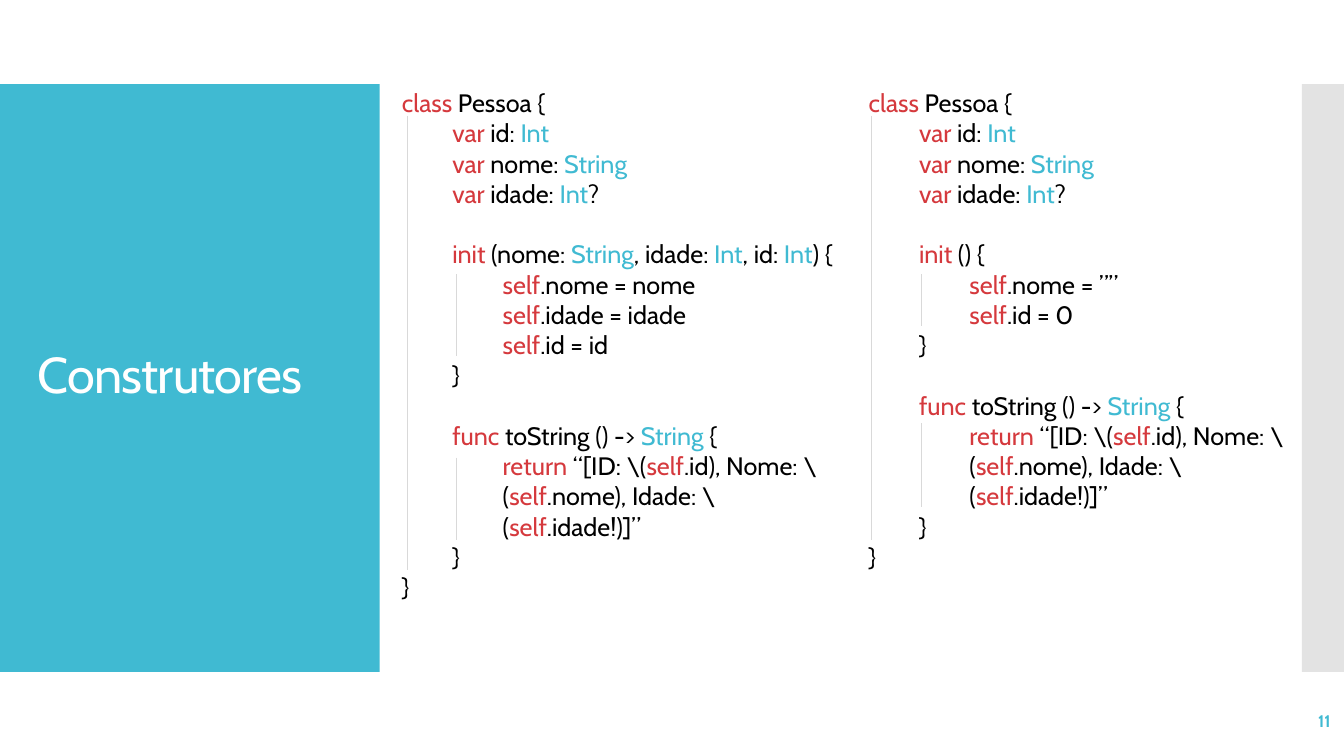
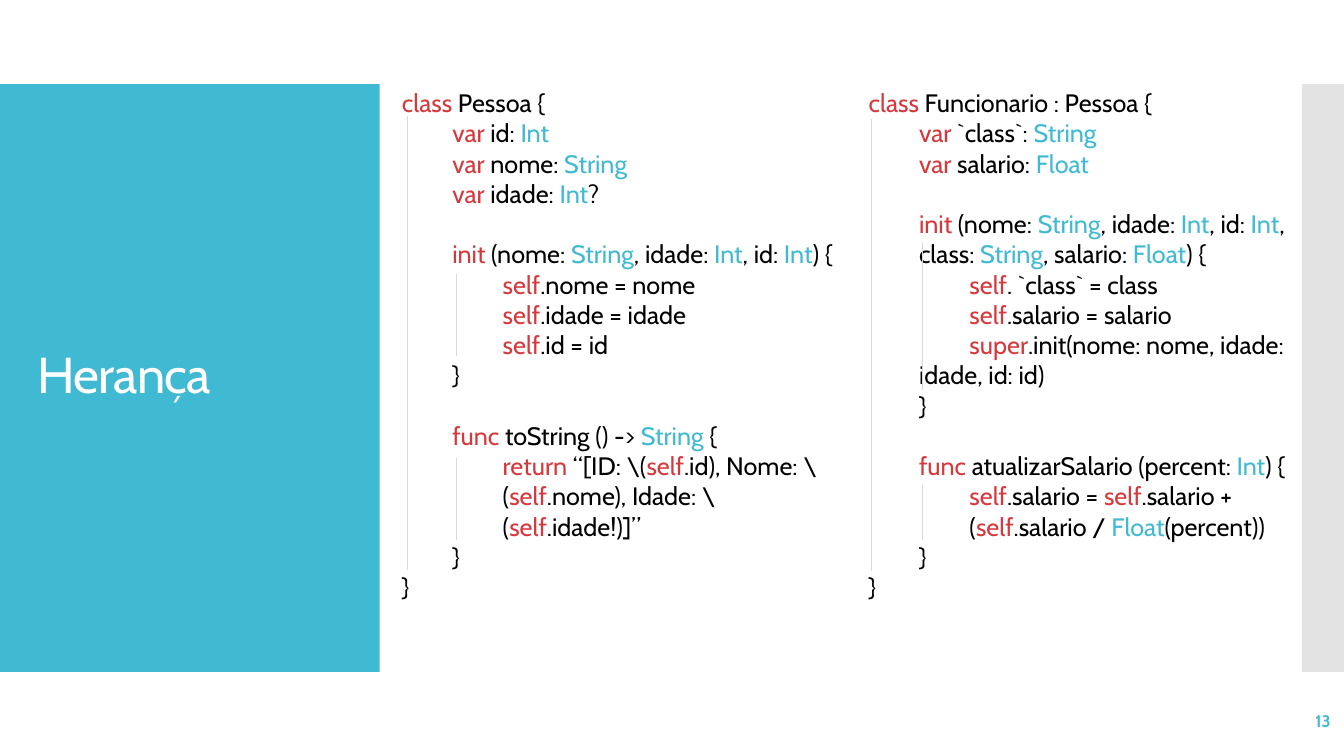
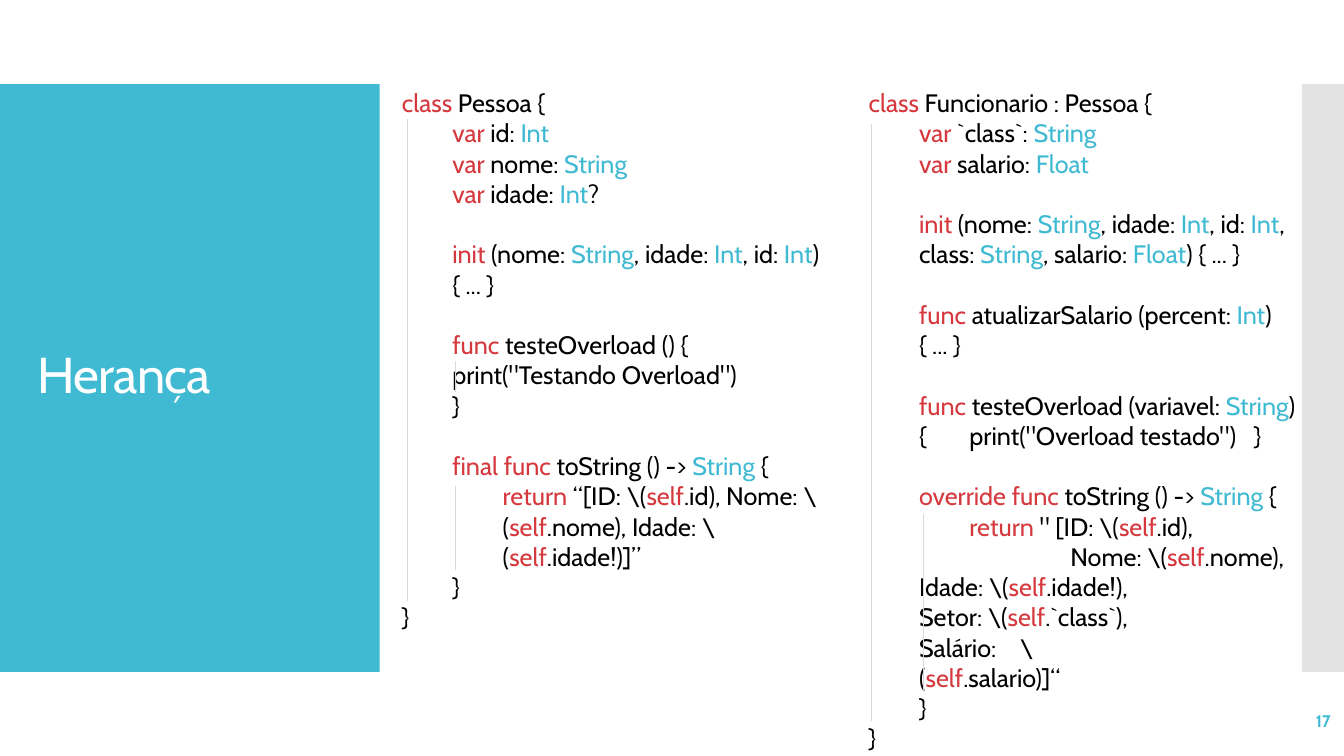
import itertools

import pptx
import pptx.dml.color
import pptx.enum.shapes
import pptx.enum.text
import pptx.oxml.ns
import pptx.oxml.xmlchemy
import pptx.util
from lxml import etree

Pt = pptx.util.Pt
qn = pptx.oxml.ns.qn
ALIGN = pptx.enum.text.PP_ALIGN
ANCHOR = pptx.enum.text.MSO_ANCHOR

# Shared style
FONT = "Cabin"
BLUE, RED, BLACK, WHITE = "40BAD2", "D5393D", "000000", "FFFFFF"
GREY, RULE = "C8C8C8", "D9D9D9"
LINE, STEP = 21.6, 36
LEFT, RIGHT = 280, 613.4

# Syntax colours: HEAD words count only at the start of a line
HEAD = {"class", "init"}
WORDS = {"var", "func", "self", "super", "return", "final", "override"}
TYPES = {"Int", "String", "Float"}

# Code parts: four spaces a level, a blank line is a gap
FIELDS = """class Pessoa {
    var id: Int
    var nome: String
    var idade: Int?

"""
SHOW = """func toString () -> String {
        return “[ID: \\(self.id), Nome: \\(self.nome), Idade: \\(self.idade!)]”
    }
}"""
PERSON = FIELDS + """    init (nome: String, idade: Int, id: Int) {
        self.nome = nome
        self.idade = idade
        self.id = id
    }

    """ + SHOW
EMPTY = FIELDS + """    init () {
        self.nome = ””
        self.id = 0
    }

    """ + SHOW
LOAD = FIELDS + """    init (nome: String, idade: Int, id: Int)
    { ... }

    func testeOverload () {
    print("Testando Overload")
    }

    final """ + SHOW
STAFF = """class Funcionario : Pessoa {
    var `class`: String
    var salario: Float

    init (nome: String, idade: Int, id: Int, class: String, salario: Float) {"""
RAISE = STAFF + """
        self. `class` = class
        self.salario = salario
        super.init(nome: nome, idade:
    idade, id: id)
    }

    func atualizarSalario (percent: Int) {
        self.salario = self.salario + (self.salario / Float(percent))
    }
}"""
OVER = STAFF + """ ... }

    func atualizarSalario (percent: Int)
    { ... }

    func testeOverload (variavel: String) {\tprint("Overload testado")\t}

    override func toString () -> String {
        return " [ID: \\(self.id),
                Nome: \\(self.nome),
    Idade: \\(self.idade!),
    Setor: \\(self.`class`),
    Salário:\t\\
    (self.salario)]“
    }
}"""

# Guides: x, top, bottom
PAIR = [(290.9, 82.8, 406.8), (326.2, 326.9, 385.9), (326.2, 195.8, 254.2)]
DECK = [
    ("Construtores", 11, PERSON, EMPTY, PAIR + [
        (622.8, 82.8, 385.9), (658.1, 302.4, 362.2), (658.1, 195.8, 232.6)]),
    ("Herança", 13, PERSON, RAISE, PAIR + [
        (622.8, 85, 408.2), (658.8, 346.3, 385.9), (658.8, 173.5, 278.6)]),
    ("Herança", 17, LOAD, OVER, [
        (622.8, 88.6, 514.8), (659.5, 367.2, 494.6), (290.9, 85, 429.1),
        (325.4, 347, 406.8), (325.4, 257.8, 280.1)]),
]


def paint(color, tone):
    color.rgb = pptx.dml.color.RGBColor.from_string(tone)


def band(slide, x, wide, tone, alpha=None):
    """Side band, see-through when alpha (percent) is given."""
    box = slide.shapes.add_shape(
        pptx.enum.shapes.MSO_SHAPE.RECTANGLE, Pt(x), Pt(60), Pt(wide), Pt(420))
    box.shadow.inherit = False
    box.line.fill.background()
    box.fill.solid()
    paint(box.fill.fore_color, tone)
    if alpha:
        clr = box.fill._xPr.find(".//" + qn("a:srgbClr"))
        etree.SubElement(clr, qn("a:alpha")).set("val", str(alpha * 1000))


def frame(slide, x, y, wide, high, anchor=ANCHOR.TOP):
    box = slide.shapes.add_textbox(Pt(x), Pt(y), Pt(wide), Pt(high))
    text = box.text_frame
    text.word_wrap = True
    text.vertical_anchor = anchor
    return text


def style(para, size, tone=None, bold=None):
    font = para.font
    font.name, font.size, font.bold = FONT, Pt(size), bold
    if tone:
        paint(font.color, tone)


def title(slide, words):
    para = frame(slide, 20, 88.5, 232, 362, ANCHOR.MIDDLE).paragraphs[0]
    para.line_spacing = 0.9
    style(para, 36, WHITE)
    run = para.add_run()
    run.text = words
    run._r.get_or_add_rPr().set("spc", "-60")


def number(slide, page):
    para = frame(slide, 837.5, 500.5, 120, 28.8, ANCHOR.MIDDLE).paragraphs[0]
    para.alignment = ALIGN.RIGHT
    style(para, 12, BLUE, True)
    para.add_run().text = str(page)


def tint(line):
    """Yield (tone, text) for each stretch of one colour."""
    def tone(item):
        spot, word = item
        if word in WORDS or (spot == 0 and word in HEAD):
            return RED
        return BLUE if word in TYPES else BLACK

    parts = ["".join(g) for _, g in itertools.groupby(line, str.isalnum)]
    for key, group in itertools.groupby(enumerate(parts), tone):
        yield key, "".join(word for _, word in group)


def code(slide, x, source):
    text = frame(slide, x, 59, 325.4, LINE * len(source.split("\n")) + 7.2)
    para, gap = text.paragraphs[0], False
    for row in source.split("\n"):
        line = row.lstrip()
        if not line:
            gap = True
            continue
        if para.runs:
            para = text.add_paragraph()
        style(para, 18)
        para.space_before = Pt(LINE if gap else 0)
        gap = False
        depth = (len(row) - len(line)) // 4
        para.level = depth
        props = para._p.get_or_add_pPr()
        props.set("marL", str(Pt(STEP * depth)))
        props.set("indent", "0")
        for tone, word in tint(line):
            run = para.add_run()
            run.text = word
            paint(run.font.color, tone)
        if line.endswith("\t\\"):
            stop(props, 275)


def stop(props, x):
    """Tab stop, placed before the default run properties."""
    tabs = etree.Element(qn("a:tabLst"))
    etree.SubElement(tabs, qn("a:tab"), pos=str(Pt(x)), algn="l")
    props.find(qn("a:defRPr")).addprevious(tabs)


def guide(slide, x, top, end):
    line = slide.shapes.add_connector(
        pptx.enum.shapes.MSO_CONNECTOR.STRAIGHT, Pt(x), Pt(top), Pt(x), Pt(end))
    line.line.width = Pt(0.75)
    paint(line.line.color, RULE)
    etree.SubElement(line._element.spPr, qn("a:effectLst"))


def main():
    deck = pptx.Presentation()
    deck.slide_width, deck.slide_height = Pt(960), Pt(540)
    for name, page, first, second, guides in DECK:
        slide = deck.slides.add_slide(deck.slide_layouts[6])
        band(slide, 0, 271.2, BLUE)
        band(slide, 930, 30, GREY, 50)
        title(slide, name)
        number(slide, page)
        code(slide, LEFT, first)
        code(slide, RIGHT, second)
        for spot in guides:
            guide(slide, *spot)
    deck.save("out.pptx")


if __name__ == "__main__":
    main()
